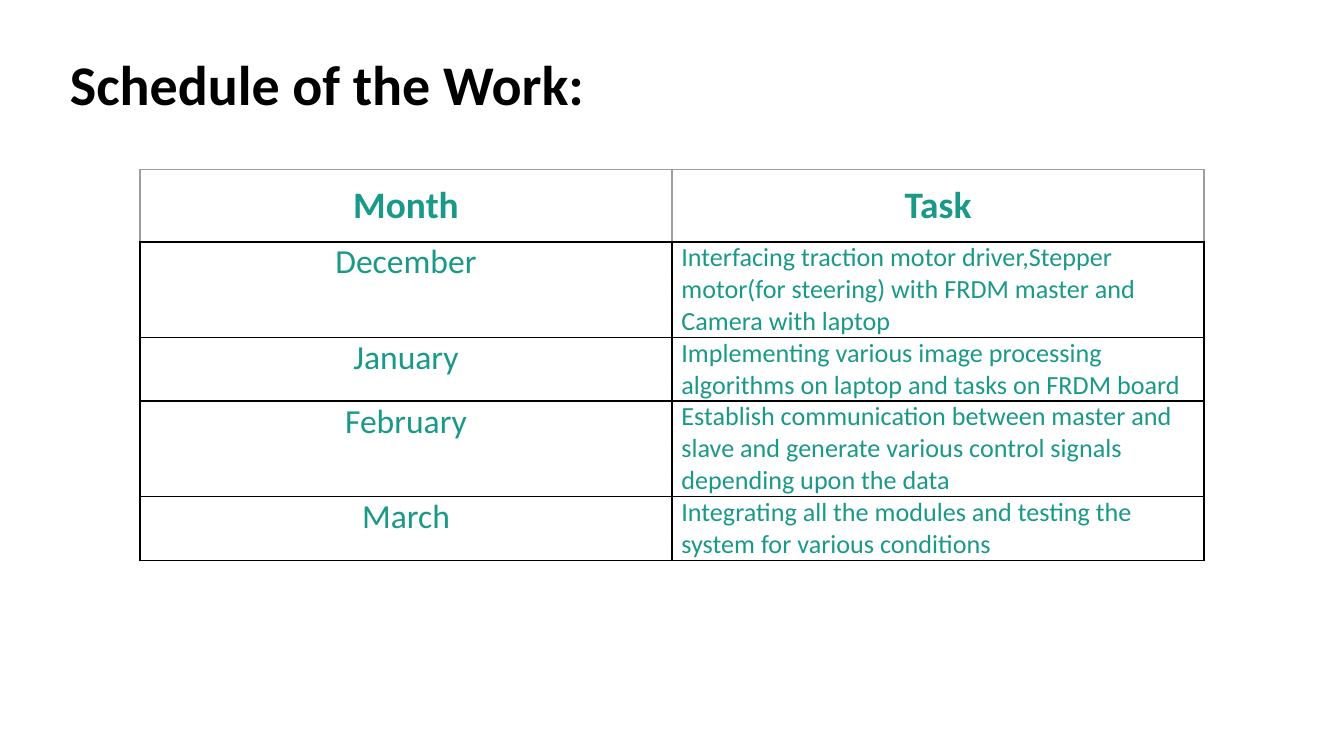
from dataclasses import dataclass

import pptx
import pptx.util
import pptx.dml.color
import pptx.enum.text
from lxml import etree
from pptx.oxml.ns import qn

COLORS = {"title": "000000", "text": "1A9988", "rule": "000000", "header_rule": "9E9E9E"}
FONT = "Calibri"
WIDTH = pptx.util.Inches(10)
HEIGHT = WIDTH * 9 // 16
ALIGN = pptx.enum.text.PP_ALIGN
TOP = pptx.enum.text.MSO_ANCHOR.TOP


@dataclass
class CellStyle:
    size: float
    align: ALIGN
    side_margin: float
    end_margin: float
    bold: bool = False
    rule: str = "rule"


HEADER = CellStyle(20, ALIGN.CENTER, 0.1, 0.1, bold=True, rule="header_rule")
MONTH = CellStyle(18, ALIGN.CENTER, 0.07, 0)
TASK = CellStyle(14, ALIGN.LEFT, 0.07, 0)

SCHEDULE = [
    ("Month", "Task"),
    ("December", "Interfacing traction motor driver,Stepper motor(for steering) "
                 "with FRDM master and Camera with laptop"),
    ("January", "Implementing various image processing algorithms on laptop "
                "and tasks on FRDM board"),
    ("February", "Establish communication between master and slave and generate "
                 "various control signals depending upon the data"),
    ("March", "Integrating all the modules and testing the system for various conditions"),
]


def format_text(para, size: float, color: str, bold: bool, align: ALIGN) -> None:
    para.alignment = align
    for span in para.runs:
        span.font.name = FONT
        span.font.size = pptx.util.Pt(size)
        span.font.bold = bold
        span.font.color.rgb = pptx.dml.color.RGBColor.from_string(COLORS[color])


def set_borders(cell, sides: dict[str, str]) -> None:
    properties = cell._tc.get_or_add_tcPr()
    for side, color in sides.items():
        line = etree.SubElement(properties, qn(f"a:ln{side}"), w=str(pptx.util.Pt(0.75)))
        fill = etree.SubElement(line, qn("a:solidFill"))
        etree.SubElement(fill, qn("a:srgbClr"), val=COLORS[color])


def fill_cell(cell, text: str, style: CellStyle) -> None:
    cell.text_frame.text = text
    cell.vertical_anchor = TOP
    cell.margin_left = cell.margin_right = pptx.util.Inches(style.side_margin)
    cell.margin_top = cell.margin_bottom = pptx.util.Inches(style.end_margin)
    format_text(cell.text_frame.paragraphs[0], style.size, "text", style.bold, style.align)
    set_borders(cell, {"L": style.rule, "R": style.rule, "T": style.rule, "B": "rule"})
    cell.fill.background()


def add_title(page, text: str) -> None:
    box = page.shapes.title
    box.left, box.top = int(WIDTH * 0.042), int(HEIGHT * 0.041)
    box.width, box.height = int(WIDTH * 0.735), int(HEIGHT * 0.093)
    frame = box.text_frame
    frame.text = text
    frame.word_wrap = True
    frame.auto_size = pptx.enum.text.MSO_AUTO_SIZE.NONE
    frame.vertical_anchor = TOP
    frame.margin_left = frame.margin_right = pptx.util.Inches(0.1)
    frame.margin_top = frame.margin_bottom = pptx.util.Inches(0.1)
    frame.paragraphs[0].line_spacing = 1.08
    format_text(frame.paragraphs[0], 30, "title", True, ALIGN.LEFT)


def add_schedule(page) -> None:
    # Rows grow from this common height to fit their text
    row_height = pptx.util.Inches(0.42)
    left = WIDTH * 5 // 48
    table = page.shapes.add_table(
        len(SCHEDULE), 2, left, pptx.util.Inches(1.26),
        WIDTH - 2 * left, row_height * len(SCHEDULE)).table
    table.first_row = table.horz_banding = False
    for row, texts in enumerate(SCHEDULE):
        styles = (MONTH, TASK) if row else (HEADER, HEADER)
        for column, (text, style) in enumerate(zip(texts, styles)):
            fill_cell(table.cell(row, column), text, style)


def main() -> None:
    deck = pptx.Presentation()
    deck.slide_width, deck.slide_height = WIDTH, HEIGHT
    page = deck.slides.add_slide(deck.slide_layouts[5])
    add_title(page, "Schedule of the Work:")
    add_schedule(page)
    deck.save("out.pptx")


if __name__ == "__main__":
    main()
